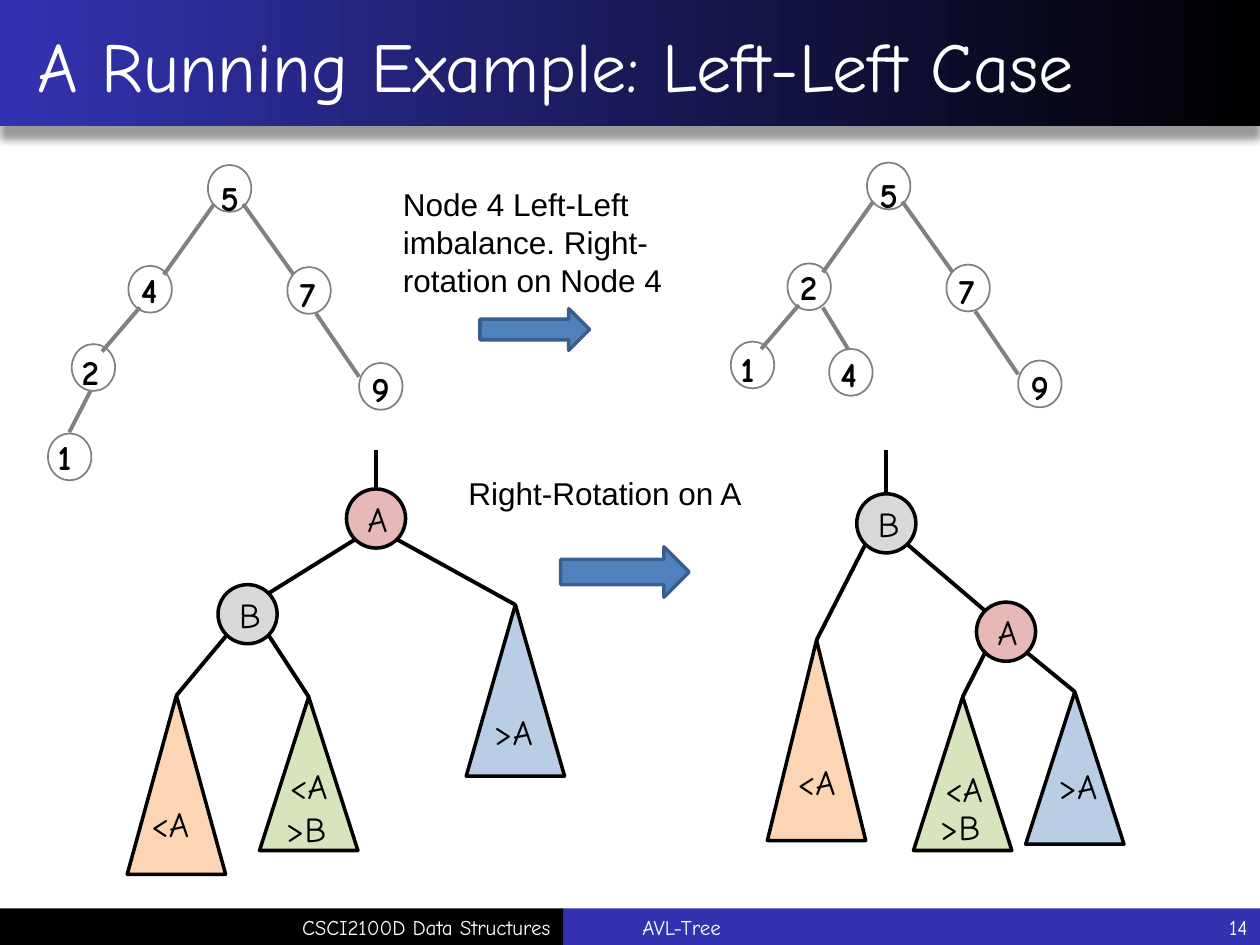
from lxml import etree
from pptx import Presentation
from pptx import util as u
from pptx.dml.color import RGBColor
from pptx.enum import shapes, text
from pptx.oxml import parse_xml
from pptx.oxml.ns import nsdecls, qn

COLORS = {
    "black": "000000", "white": "FFFFFF", "blue": "3333B2", "gray": "808080",
    "arrow": "4F81BD", "arrow_line": "3A5F8C", "A": "E6B9B8", "B": "D9D9D9",
    "orange": "FCD5B5", "green": "D7E4BD", "sky": "B9CDE5",
}
TITLE = "A Running Example: Left-Left Case"
FOOTER_BARS = [(321.8, 398.2, "blue"), (0, 321.8, "black")]
FOOTERS = [
    ("CSCI2100D Data Structures", 0.7, 321.1, "RIGHT"),
    ("AVL-Tree", 360, 317.5, "LEFT"),
    ("14", 630, 90, "RIGHT"),
]
NOTES = [
    ("Node 4 Left-Left imbalance. Right-rotation on Node 4", (223.2, 102.2, 177.1, 72.7)),
    ("Right-Rotation on A", (260.6, 267.1, 184.3, 28.8)),
]
ARROWS = [(274.3, 176.4, 62.6, 23.8), (320.4, 312.5, 73.4, 28.8)]

# left, top, label dx, label dy
SHARED_NODES = [
    (118.8, 94.3, 0, 2.9), (73.4, 151.9, 0, -2.1), (164.2, 152.6, 0, -0.7),
    (205.2, 207.4, 0, -0.7), (41, 196.6, -1.4, 0),
]
SHARED_EDGES = [
    (122.4, 116.6, 93.6, 157), (139, 116.6, 167.8, 157),
    (180.7, 179.3, 205.2, 215.3), (79.9, 175.7, 58.3, 200.9),
]
NUMBER_TREES = [
    {"shift": (0, 0), "keys": "547921", "node": (27.4, 247.7, -1.5, -2.2),
     "edge": (51.8, 223.2, 39.6, 247)},
    {"shift": (376.6, -1.4), "keys": "527914", "node": (97.2, 200.8, -0.7, -1.4),
     "edge": (93.6, 177.1, 108, 200.8)},
]
ROTATIONS = [
    {"root": ("A", 214.9, 296.3), "child": ("B", 141.5, 351), "side": -1,
     "subtrees": [
         ("B", -1, 100.8, 397.4, 102.2, "orange", [("<A", 79.2, 455)]),
         ("B", 1, 176.4, 398.2, 87.8, "green", [(">B", 156.2, 457.9), ("<A", 158.4, 433.4)]),
         ("A", 1, 294.5, 345.6, 97.9, "sky", [(">A", 275, 402.5)])]},
    {"root": ("B", 506.5, 299.1), "child": ("A", 574.9, 361), "side": 1,
     "subtrees": [
         ("B", -1, 466.6, 365.8, 114.5, "orange", [("<A", 448.6, 431.3)]),
         ("A", -1, 550.1, 398.2, 87.8, "green", [(">B", 529.9, 456.5), ("<A", 532.8, 434.9)]),
         ("A", 1, 614.2, 395.3, 87.1, "sky", [(">A", 597.6, 433.4)])]},
]
NODE_W, NODE_H = 24.8, 26.8
RADIUS, CORNER, TRIANGLE_W, STEM_TOP = 16.9, 11.95, 56.2, 257
HAND = {"name": "Comic Neue", "size": u.Pt(20), "bold": False}
KEY = {**HAND, "bold": True}
SMALL = {**HAND, "size": u.Pt(12)}
HEADING = {**HAND, "size": u.Pt(40)}
NOTE = {**HAND, "name": "Arial", "size": u.Pt(18)}


def rgb(name):
    return RGBColor.from_string(COLORS[name])


def pts(values):
    return [u.Pt(v) for v in values]


def write(sp, words, font, color="black", align="LEFT", anchor="TOP", wrap=True):
    tf = sp.text_frame
    for name, value in {"word_wrap": wrap, "auto_size": text.MSO_AUTO_SIZE.NONE,
                        "vertical_anchor": getattr(text.MSO_ANCHOR, anchor)}.items():
        setattr(tf, name, value)
    p = tf.paragraphs[0]
    p.alignment = getattr(text.PP_ALIGN, align)
    r = p.add_run()
    r.text = words
    for name, value in font.items():
        setattr(r.font, name, value)
    r.font.color.rgb = rgb(color)


def label(s, words, box, font, **style):
    write(s.shapes.add_textbox(*pts(box)), words, font, **style)


def shape(s, kind, box, fill=None, line=None, width=2):
    sp = s.shapes.add_shape(getattr(shapes.MSO_SHAPE, kind), *pts(box))
    sp.shadow.inherit = False
    if fill:
        sp.fill.solid()
        sp.fill.fore_color.rgb = rgb(fill)
    else:
        sp.fill.background()
    if line:
        sp.line.color.rgb = rgb(line)
        sp.line.width = u.Pt(width)
    else:
        sp.line.fill.background()
    return sp


def edge(s, ends, color="black"):
    sp = s.shapes.add_connector(shapes.MSO_CONNECTOR.STRAIGHT, *pts(ends))
    sp.line.color.rgb = rgb(color)
    sp.line.width = u.Pt(2.25)
    etree.SubElement(sp._element.spPr, qn("a:effectLst"))


def frame(s):
    band = shape(s, "RECTANGLE", (0, -0.7, 720, 72.7))
    band.fill.gradient()
    band.fill.gradient_angle = 0
    for stop, color in zip(band.fill.gradient_stops, ("blue", "black")):
        stop.color.rgb = rgb(color)
    effects = band._element.spPr.find(qn("a:effectLst"))
    effects.append(parse_xml(
        f'<a:outerShdw {nsdecls("a")} blurRad="{u.Pt(4)}" dist="{u.Pt(7)}" dir="5400000" '
        'algn="t" rotWithShape="0"><a:srgbClr val="000000"><a:alpha val="40000"/>'
        '</a:srgbClr></a:outerShdw>'))
    for x, w, color in FOOTER_BARS:
        shape(s, "RECTANGLE", (x, 519.1, w, 20.9), color)
    for words, x, w, align in FOOTERS:
        label(s, words, (x, 519.1, w, 20.9), SMALL, color="white", align=align, anchor="MIDDLE")
    title = s.shapes.title
    for name, value in zip(("left", "top", "width", "height"), pts((0, 1.4, 720, 70.6))):
        setattr(title, name, value)
    write(title, TITLE, HEADING, color="white", anchor="MIDDLE")
    title.text_frame.margin_left = u.Pt(21.6)
    s.shapes._spTree.append(title._element)


def number_tree(s, tree):
    dx, dy = tree["shift"]
    for x1, y1, x2, y2 in SHARED_EDGES + [tree["edge"]]:
        edge(s, (x1 + dx, y1 + dy, x2 + dx, y2 + dy), "gray")
    for key, (x, y, lx, ly) in zip(tree["keys"], SHARED_NODES + [tree["node"]]):
        x, y = x + dx, y + dy
        shape(s, "OVAL", (x, y, NODE_W, NODE_H), line="gray", width=1)
        label(s, key, (x + lx, y + ly, 26.6, 31.7), KEY, wrap=False)


def rotation(s, tree):
    nodes = {name: (x, y) for name, x, y in (tree["root"], tree["child"])}
    _, rx, ry = tree["root"]
    _, cx, cy = tree["child"]
    d = tree["side"] * CORNER
    edge(s, (rx, STEM_TOP, rx, ry - RADIUS))
    edge(s, (rx + d, ry + CORNER, cx - d, cy - CORNER))
    for name, (x, y) in nodes.items():
        sp = shape(s, "OVAL", (x - RADIUS, y - RADIUS, 2 * RADIUS, 2 * RADIUS), name, "black")
        write(sp, name, HAND, align="CENTER", anchor="MIDDLE")
    for parent, side, x, y, h, color, labels in tree["subtrees"]:
        px, py = nodes[parent]
        edge(s, (px + side * CORNER, py + CORNER, x, y))
        shape(s, "ISOSCELES_TRIANGLE", (x - TRIANGLE_W / 2, y, TRIANGLE_W, h), color, "black")
        for words, lx, ly in labels:
            label(s, words, (lx, ly, 39.6, 31.7), HAND)


def main():
    """Build the AVL left-left rotation slide."""
    prs = Presentation()
    prs.slide_width, prs.slide_height = pts((720, 540))
    s = prs.slides.add_slide(prs.slide_layouts[5])
    frame(s)
    for box in ARROWS:
        shape(s, "RIGHT_ARROW", box, "arrow", "arrow_line")
    for words, box in NOTES:
        label(s, words, box, NOTE)
    for tree in NUMBER_TREES:
        number_tree(s, tree)
    for tree in ROTATIONS:
        rotation(s, tree)
    prs.save("out.pptx")


if __name__ == "__main__":
    main()
